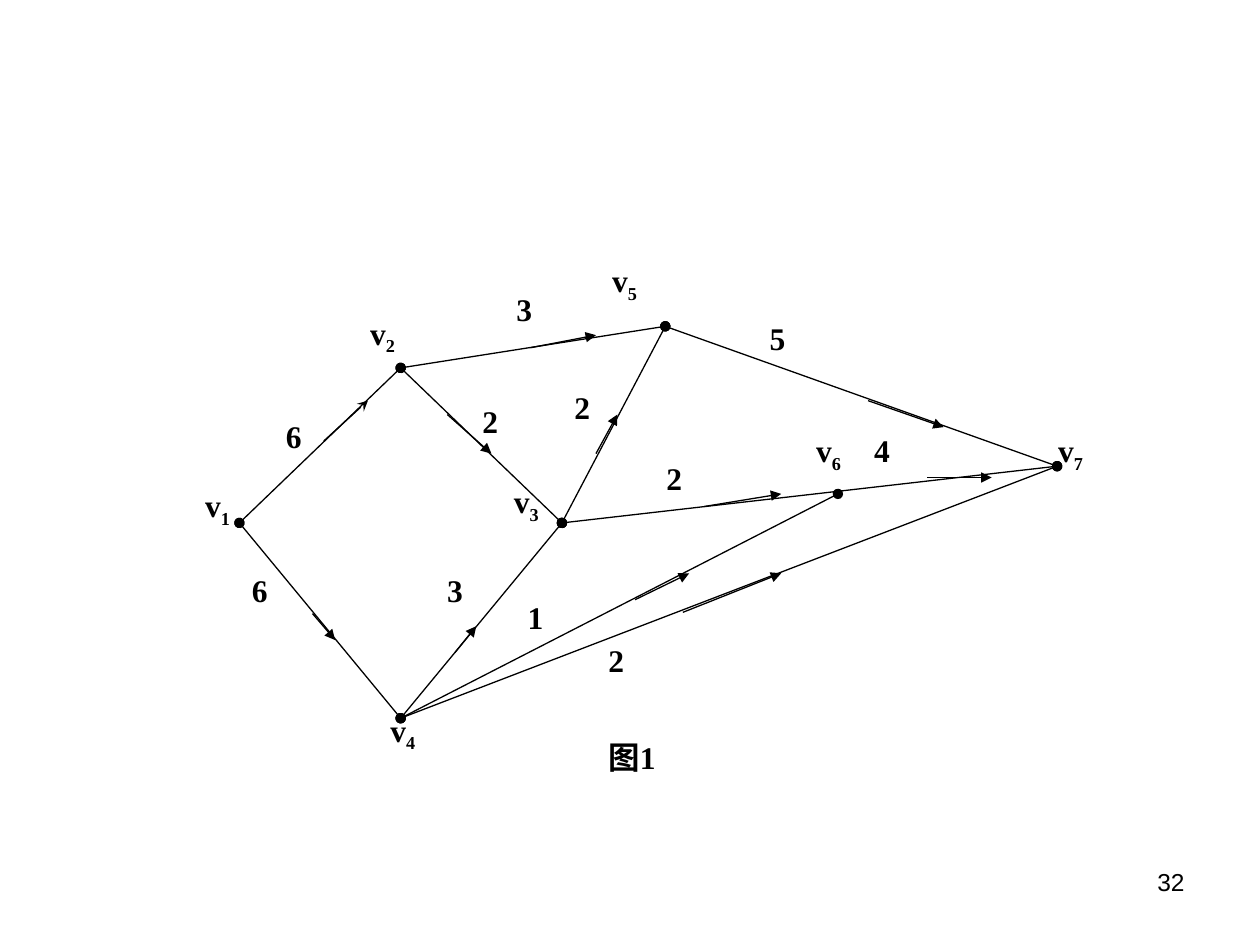
"""Build a slide with a directed, weighted network of seven nodes."""
from lxml import etree
from pptx import Presentation
from pptx.dml.color import RGBColor
from pptx.enum.shapes import MSO_CONNECTOR
from pptx.enum.text import PP_ALIGN
from pptx.oxml.ns import qn
from pptx.util import Inches, Pt

STRAIGHT = MSO_CONNECTOR.STRAIGHT
LEFT, RIGHT = PP_ALIGN.LEFT, PP_ALIGN.RIGHT
BLACK = "000000"
SERIF, SANS = "Times New Roman", "Arial"


def add_line(page, start, end, head, tail):
    """Draw a thin black line with the given end marks."""
    line = page.shapes.add_connector(STRAIGHT, *map(Inches, start + end))
    line.line.color.rgb = RGBColor.from_string(BLACK)
    line.line.width = Pt(0.75)
    outline = line.line._get_or_add_ln()
    etree.SubElement(outline, qn("a:headEnd"), type=head)
    etree.SubElement(outline, qn("a:tailEnd"), type=tail)
    etree.SubElement(line._element.spPr, qn("a:effectLst"))


def add_label(page, place, text, subscript="", font=SERIF, size=18, bold=True, align=LEFT):
    """Write a one-line label with an optional subscript."""
    box = page.shapes.add_textbox(*map(Inches, place))
    box.text_frame.word_wrap = True
    para = box.text_frame.paragraphs[0]
    para.text = text
    para.alignment = align
    if subscript:
        span = para.add_run()
        span.text = subscript
        span._r.get_or_add_rPr().set("baseline", "-25000")
    for span in para.runs:
        span.font.name = font
        span.font.size = Pt(size)
        span.font.bold = bold
        span.font.color.rgb = RGBColor.from_string(BLACK)


deck = Presentation()
deck.slide_width, deck.slide_height = Inches(10), Inches(7.5)
page = deck.slides.add_slide(deck.slide_layouts[6])

nodes = {
    1: (1.9, 4.15), 2: (3.18, 2.92), 3: (4.46, 4.15), 4: (3.18, 5.7),
    5: (5.28, 2.59), 6: (6.65, 3.92), 7: (8.39, 3.7),
}
node_labels = {
    1: (1.53, 3.81), 2: (2.84, 2.44), 3: (3.98, 3.78), 4: (3, 5.59),
    5: (4.76, 2.02), 6: (6.38, 3.37), 7: (8.3, 3.37),
}
edges = [(1, 4), (1, 2), (4, 3), (2, 3), (2, 5), (3, 5), (3, 7), (4, 7), (5, 7), (4, 6)]
weights = [
    ("6", 2.17, 3.26), ("3", 4, 2.25), ("5", 6.01, 2.48), ("2", 3.73, 3.14),
    ("2", 4.46, 3.03), ("2", 5.19, 3.59), ("4", 6.84, 3.37), ("1", 4.09, 4.7),
    ("2", 4.73, 5.04), ("6", 1.9, 4.48), ("3", 3.45, 4.48),
]
arrows = [
    ((2.57, 3.5), (2.92, 3.18), "stealth"),
    ((2.48, 4.87), (2.66, 5.08), "triangle"),
    ((4.21, 2.76), (4.73, 2.66), "triangle"),
    ((3.55, 3.29), (3.9, 3.6), "triangle"),
    ((3.61, 5.18), (3.78, 4.97), "triangle"),
    ((5.04, 4.76), (5.47, 4.55), "triangle"),
    ((5.42, 4.86), (6.2, 4.55), "triangle"),
    ((5.59, 4.02), (6.2, 3.92), "triangle"),
    ((7.36, 3.79), (7.87, 3.79), "triangle"),
    ((6.89, 3.18), (7.49, 3.39), "triangle"),
    ((4.73, 3.6), (4.9, 3.29), "triangle"),
]

add_label(page, (7.17, 6.83, 2.33, 0.52), "32", font=SANS, size=14, bold=False, align=RIGHT)
for start, end in edges:
    add_line(page, nodes[start], nodes[end], "oval", "oval")
for weight, left, top in weights:
    add_label(page, (left, top, 0.64, 0.4), weight)
for number, (left, top) in node_labels.items():
    add_label(page, (left, top, 0.64, 0.44), "v", str(number))
for start, end, tip in arrows:
    add_line(page, start, end, "none", tip)
add_label(page, (4.73, 5.81, 1.64, 0.4), "图1")

deck.save("out.pptx")
